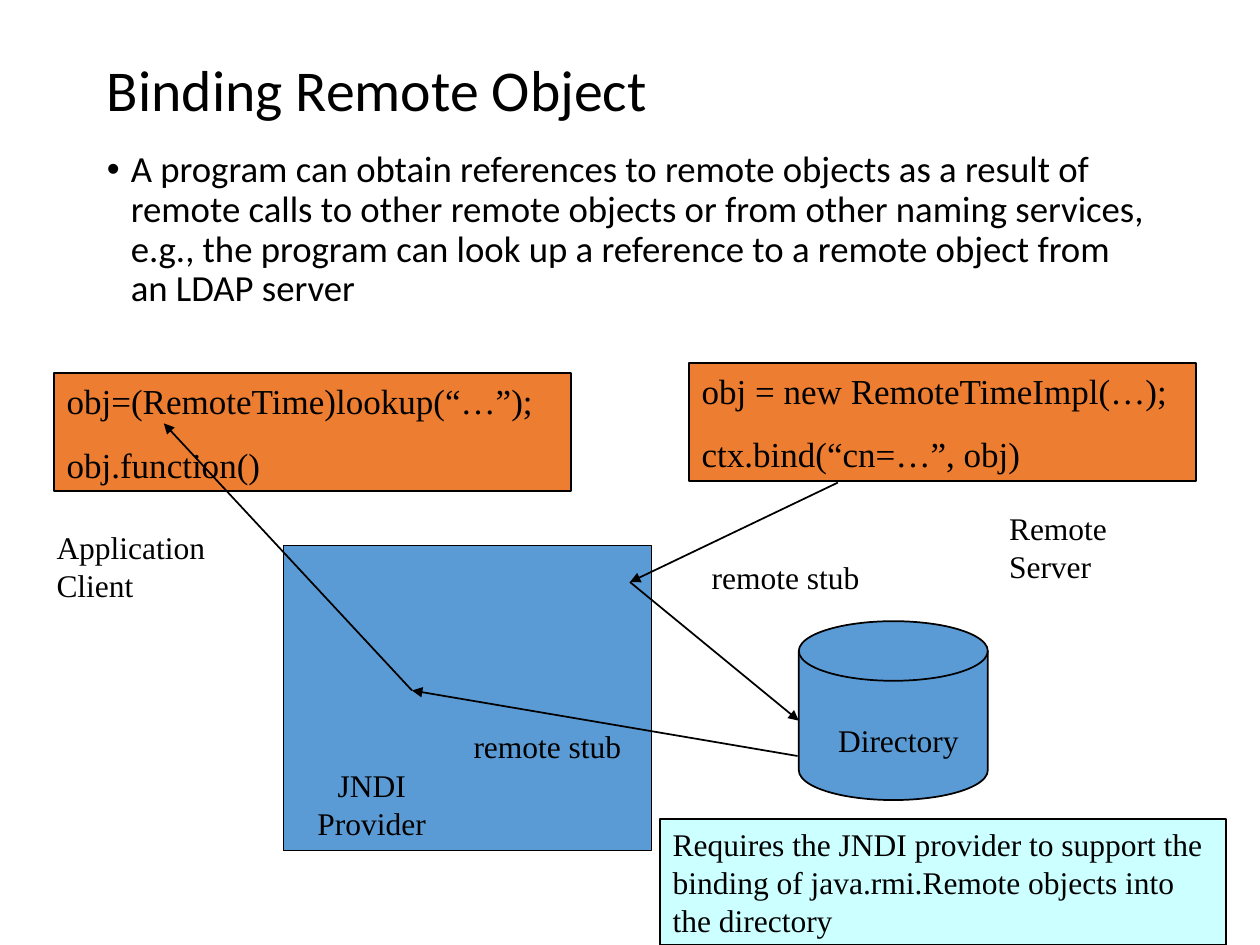
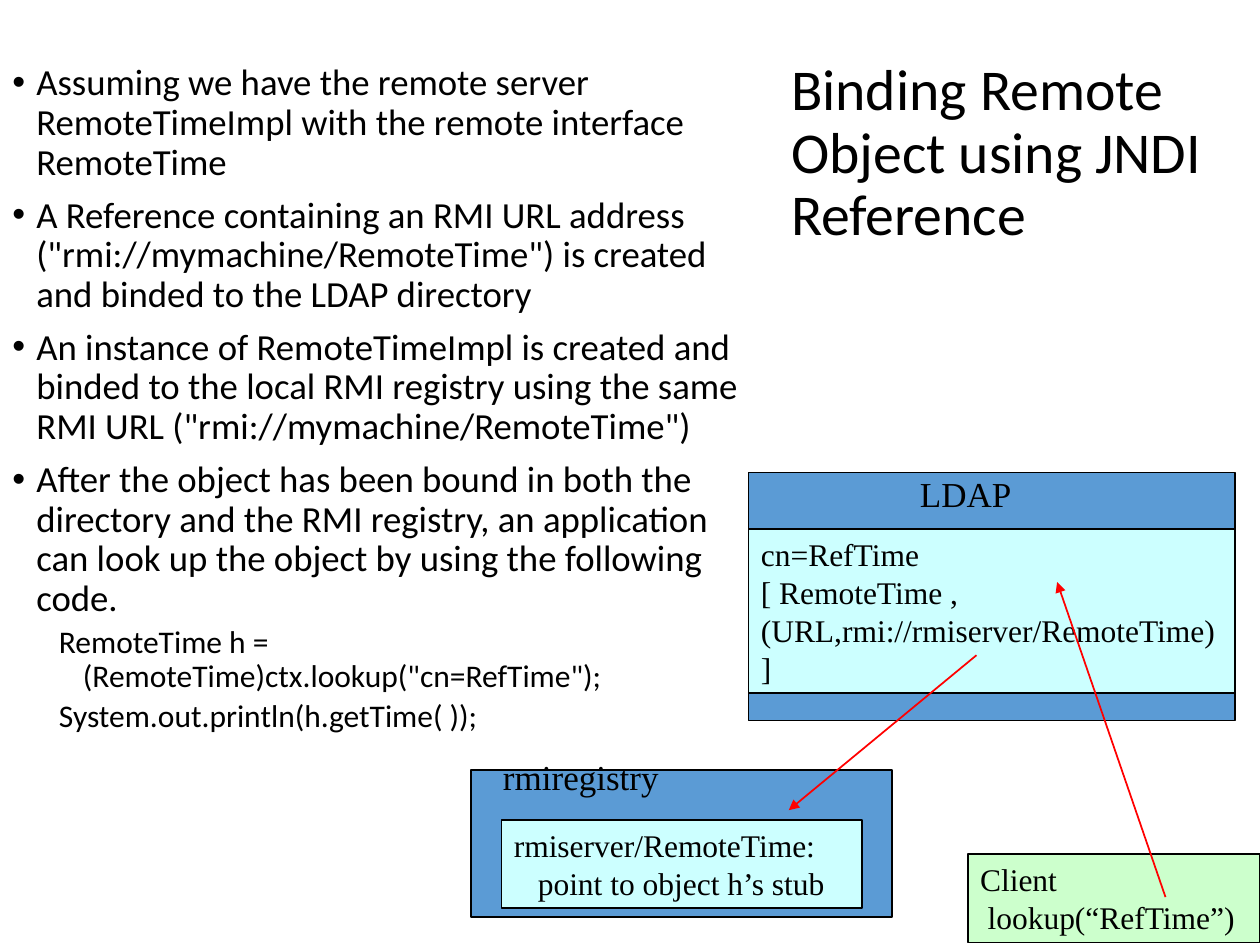
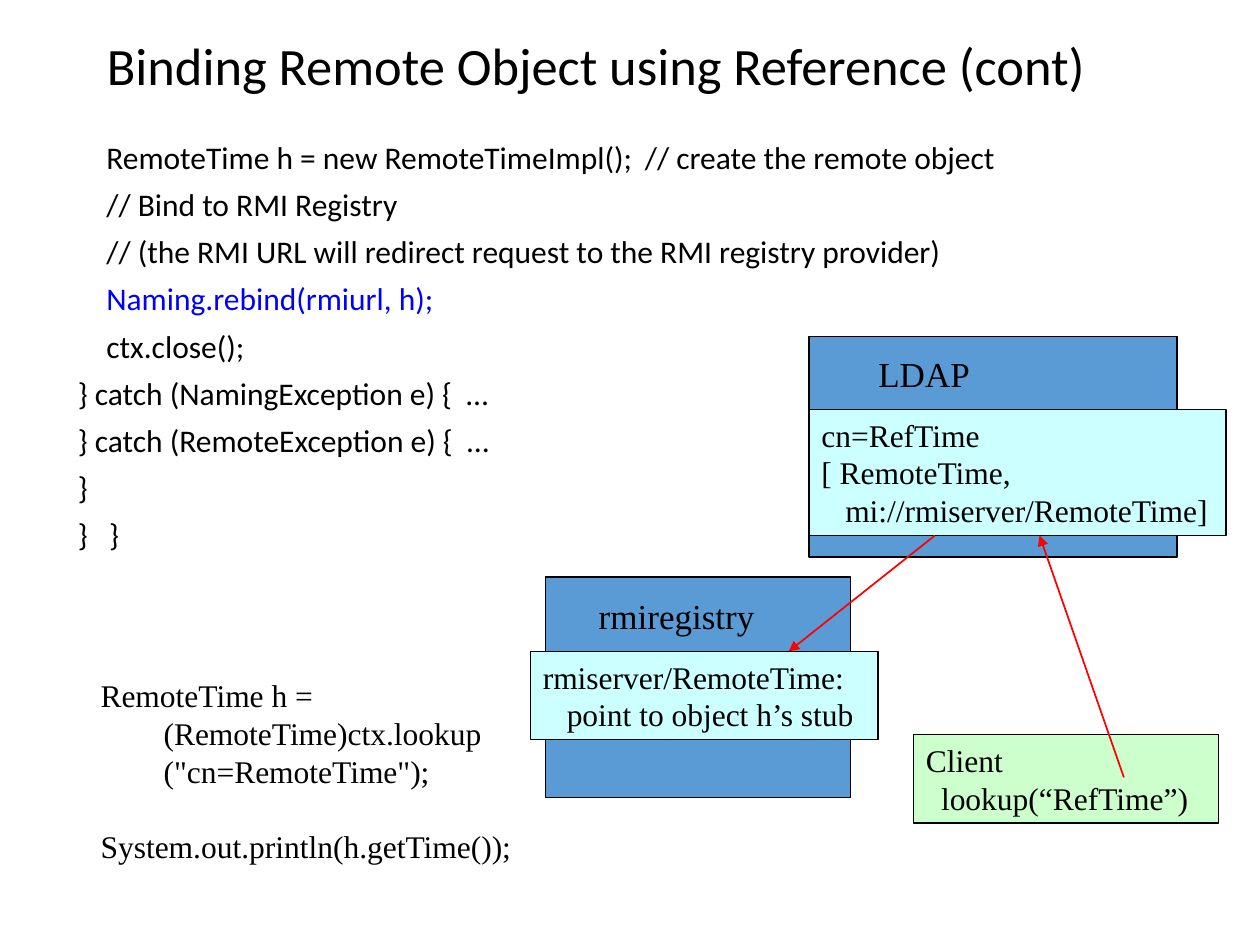
from lxml.etree import SubElement
from pptx import Presentation
from pptx.dml.color import RGBColor
from pptx.enum.shapes import MSO_CONNECTOR as Connector, MSO_SHAPE as Shape
from pptx.enum.text import MSO_ANCHOR as Anchor, PP_ALIGN as Align
from pptx.oxml.ns import qn
from pptx.util import Inches, Pt

BLACK = RGBColor(0x00, 0x00, 0x00)
BLUE = RGBColor(0x5B, 0x9B, 0xD5)
ORANGE = RGBColor(0xED, 0x7D, 0x31)
CYAN = RGBColor(0xCC, 0xFF, 0xFF)
GREEN = RGBColor(0xCC, 0xFF, 0xCC)
RED = RGBColor(0xFF, 0x00, 0x00)
CODE_BLUE = RGBColor(0x00, 0x00, 0xFF)
SANS = "Calibri"
SERIF = "Times New Roman"
CODE_TABS = [0.75 * step for step in range(8)]
LOOKUP_TABS = [0, 0.5, 1, 2, 3, 4, 5, 6]


def write(frame, lines, size=18, font=SERIF, color=BLACK, align=Align.LEFT, before=0,
          spacing=None, margin=0.0, indent=0.0, bullet=None, tabs=()):
    """Append one paragraph per line; a newline inside a line is a line break."""
    for line in lines:
        first = not frame.text
        paragraph = frame.paragraphs[0] if first else frame.add_paragraph()
        paragraph.text = line
        paragraph.alignment = align
        paragraph.space_before = Pt(0 if first else before)
        if spacing:
            paragraph.line_spacing = spacing
        properties = paragraph._p.get_or_add_pPr()
        properties.set("marL", str(Inches(margin)))
        properties.set("indent", str(Inches(indent)))
        if bullet:
            SubElement(properties, qn("a:buFont"), typeface="Arial")
            SubElement(properties, qn("a:buChar"), char=bullet)
        else:
            SubElement(properties, qn("a:buNone"))
        if tabs:
            tab_list = SubElement(properties, qn("a:tabLst"))
            for position in tabs:
                SubElement(tab_list, qn("a:tab"), pos=str(Inches(position)), algn="l")
        for run in paragraph.runs:
            run.font.size = Pt(size)
            run.font.name = font
            run.font.color.rgb = color


class Deck:
    """Holds the presentation, its shared style and the slide being drawn."""

    def __init__(self):
        self.presentation = Presentation()
        self.presentation.slide_width = Inches(10)
        self.presentation.slide_height = Inches(7.5)
        self.slide = None

    def new_slide(self, title, place, size=33):
        self.slide = self.presentation.slides.add_slide(self.presentation.slide_layouts[6])
        frame = self.text_frame(place)
        frame.vertical_anchor = Anchor.MIDDLE
        write(frame, [title], size=size, font=SANS, spacing=0.9)

    def text_frame(self, place):
        frame = self.slide.shapes.add_textbox(*map(Inches, place)).text_frame
        frame.word_wrap = True
        return frame

    def bullets(self, place, lines):
        frame = self.text_frame(place)
        write(frame, lines, size=21, font=SANS, before=7.5, spacing=0.9,
              margin=0.19, indent=-0.19, bullet="•")
        return frame

    def label(self, place, text, **style):
        write(self.text_frame(place), [text], **style)

    def box(self, place, fill, lines=(), kind=Shape.RECTANGLE, hanging=0.0, **style):
        shape = self.slide.shapes.add_shape(kind, *map(Inches, place))
        shape.shadow.inherit = False
        shape.fill.solid()
        shape.fill.fore_color.rgb = fill
        shape.line.color.rgb = BLACK
        shape.line.width = Pt(1)
        shape.text_frame.word_wrap = True
        shape.text_frame.vertical_anchor = Anchor.TOP
        write(shape.text_frame, lines, margin=hanging, indent=-hanging, **style)

    def arrow(self, start, end, color=BLACK):
        line = self.slide.shapes.add_connector(
            Connector.STRAIGHT, *map(Inches, (*start, *end)))
        line.line.color.rgb = color
        line.line.width = Pt(1)
        SubElement(line.line._get_or_add_ln(), qn("a:tailEnd"), type="triangle")
        SubElement(line._element.spPr, qn("a:effectLst"))

    def store(self, place, name, name_place, entry_place, entry, hanging=0.0):
        """A named server box with the entry it keeps."""
        self.box(place, BLUE)
        self.label(name_place, name, size=20, align=Align.CENTER)
        self.box(entry_place, CYAN, entry, hanging=hanging)


def binding_slide(deck):
    deck.new_slide("Binding Remote Object", (0.75, 0.36, 8.58, 0.75))
    deck.bullets((0.75, 1.15, 8.5, 1.67), [
        "A program can obtain references to remote objects as a result of remote calls to "
        "other remote objects or from other naming services, e.g., the program can look up "
        "a reference to a remote object from an LDAP server"])
    provider_in, provider_out = (5, 4.62), (3.27, 5.48)
    deck.box((0.43, 2.96, 4.1, 0.94), ORANGE,
             ["obj=(RemoteTime)lookup(“…”);", "obj.function()"], size=20, before=12.5)
    deck.label((0.35, 4.14, 1.42, 0.7), "Application Client")
    deck.box((2.25, 4.33, 2.92, 2.42), BLUE)
    deck.box((6.34, 4.93, 1.5, 1.42), BLUE, kind=Shape.FLOWCHART_MAGNETIC_DISK)
    deck.label((6.42, 5.67, 1.42, 0.4), "Directory", align=Align.CENTER)
    deck.arrow((6.33, 6), provider_out)
    deck.label((2.24, 6.03, 1.42, 0.7), "JNDI Provider", align=Align.CENTER)
    deck.arrow((6.65, 3.83), provider_in)
    deck.arrow(provider_in, (6.34, 5.72))
    deck.label((5.55, 4.38, 2.05, 0.4), "remote stub")
    deck.label((3.66, 5.72, 1.81, 0.4), "remote stub")
    deck.box((5.47, 2.88, 4.02, 0.94), ORANGE,
             ["obj = new RemoteTimeImpl(…);", "ctx.bind(“cn=…”, obj)"], size=20, before=12.5)
    deck.arrow(provider_out, (1.3, 3.36))
    deck.label((7.91, 3.99, 1.42, 0.7), "Remote Server")
    deck.box((5.24, 6.5, 4.49, 1), CYAN, [
        "Requires the JNDI provider to support the binding of java.rmi.Remote objects "
        "into the directory"])


REGISTRY_ENTRY = ["rmiserver/RemoteTime:\npoint to object h’s stub"]
CLIENT_CALL = ["Client\nlookup(“RefTime”)"]


def reference_slide(deck):
    deck.new_slide("Binding Remote Object using JNDI Reference", (6.18, 0.28, 3.62, 1.89))
    frame = deck.bullets((0, 0.46, 6.02, 6.08), [
        "Assuming we have the remote server RemoteTimeImpl with the remote interface "
        "RemoteTime",
        'A Reference containing an RMI URL address ("rmi://mymachine/RemoteTime") is '
        "created and binded to the LDAP directory",
        "An instance of RemoteTimeImpl is created and binded to the local RMI registry "
        'using the same RMI URL ("rmi://mymachine/RemoteTime")',
        "After the object has been bound in both the directory and the RMI registry, an "
        "application can look up the object by using the following code."])
    write(frame, ['RemoteTime h = (RemoteTime)ctx.lookup("cn=RefTime");',
                  "System.out.println(h.getTime( ));"],
          font=SANS, before=3.7, spacing=0.9, margin=0.56, indent=-0.19)
    deck.store((5.94, 3.75, 3.86, 1.97), "LDAP", (7, 3.7, 1.33, 0.44),
               (5.94, 4.2, 3.86, 1.3),
               ["cn=RefTime\n[ RemoteTime , (URL,rmi://rmiserver/RemoteTime) ]"])
    deck.store((3.74, 6.11, 3.34, 1.17), "rmiregistry", (3.82, 5.95, 1.58, 0.44),
               (3.98, 6.51, 2.86, 0.7), REGISTRY_ENTRY, hanging=0.19)
    deck.arrow((7.75, 5.2), (6.26, 6.43), RED)
    deck.box((7.68, 6.78, 2.32, 0.7), GREEN, CLIENT_CALL, hanging=0.06)
    deck.arrow((9.25, 7.12), (8.39, 4.62), RED)


def reference_code_slide(deck):
    deck.new_slide("Binding Remote Object using Reference (cont)",
                   (0.75, 0.25, 8.58, 0.58), size=30)
    frame = deck.text_frame((0.33, 1.08, 8.42, 5.5))
    code = [
        ("\t    RemoteTime h = new RemoteTimeImpl();\t// create the remote object", BLACK),
        ("\t    // Bind to RMI Registry", BLACK),
        ("\t    // (the RMI URL will redirect request to the RMI registry provider)", BLACK),
        ("\t    Naming.rebind(rmiurl, h);", CODE_BLUE),
        ("\t    ctx.close();", BLACK),
        ("\t} catch (NamingException e) {  …", BLACK),
        ("\t} catch (RemoteException e) {  …", BLACK),
        ("\t}", BLACK),
        ("\t}   }", BLACK),
    ]
    for line, color in code:
        write(frame, [line], font=SANS, color=color, before=7.5, spacing=0.9,
              margin=0.19, indent=-0.19, tabs=CODE_TABS)
    deck.store((6.42, 2.67, 2.92, 1.75), "LDAP", (6.67, 2.75, 1.33, 0.44),
               (6.42, 3.25, 3.31, 1),
               ["cn=RefTime", "[ RemoteTime,\nmi://rmiserver/RemoteTime]"], hanging=0.19)
    deck.store((4.33, 4.58, 2.42, 1.75), "rmiregistry", (4.58, 4.67, 1.58, 0.44),
               (4.21, 5.17, 2.76, 0.7), REGISTRY_ENTRY, hanging=0.19)
    deck.arrow((7.42, 4.25), (6.26, 5.17), RED)
    deck.box((7.25, 5.83, 2.42, 0.7), GREEN, CLIENT_CALL, hanging=0.12)
    deck.arrow((8.92, 6.17), (8.25, 4.25), RED)
    write(deck.text_frame((0.2, 5.32, 4.1, 1.6)),
          ['RemoteTime h =\n\t(RemoteTime)ctx.lookup\n\t("cn=RemoteTime");',
           "System.out.println(h.getTime());"],
          before=21, margin=0.5, tabs=LOOKUP_TABS)


def main():
    deck = Deck()
    binding_slide(deck)
    reference_slide(deck)
    reference_code_slide(deck)
    deck.presentation.save("out.pptx")


if __name__ == "__main__":
    main()
